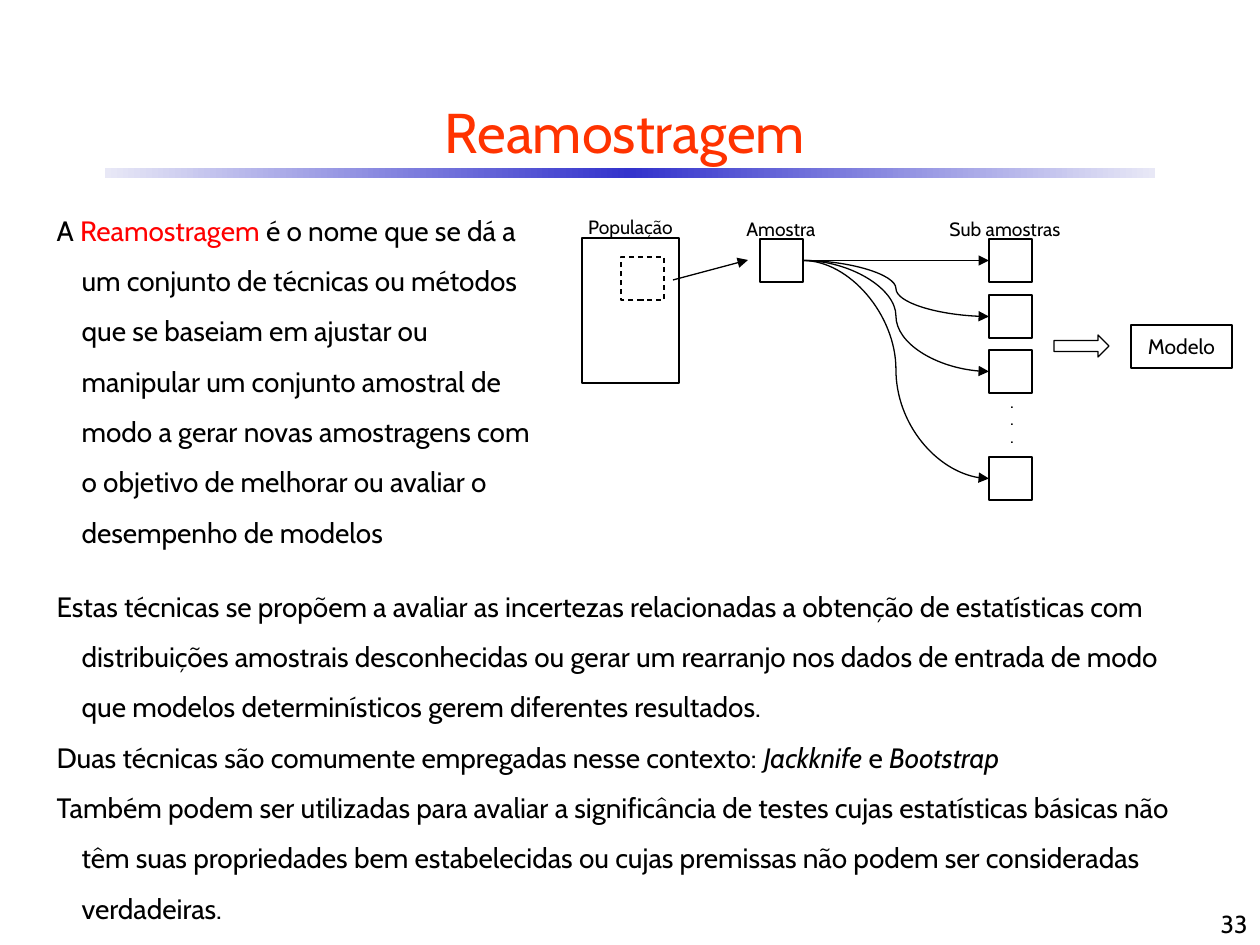
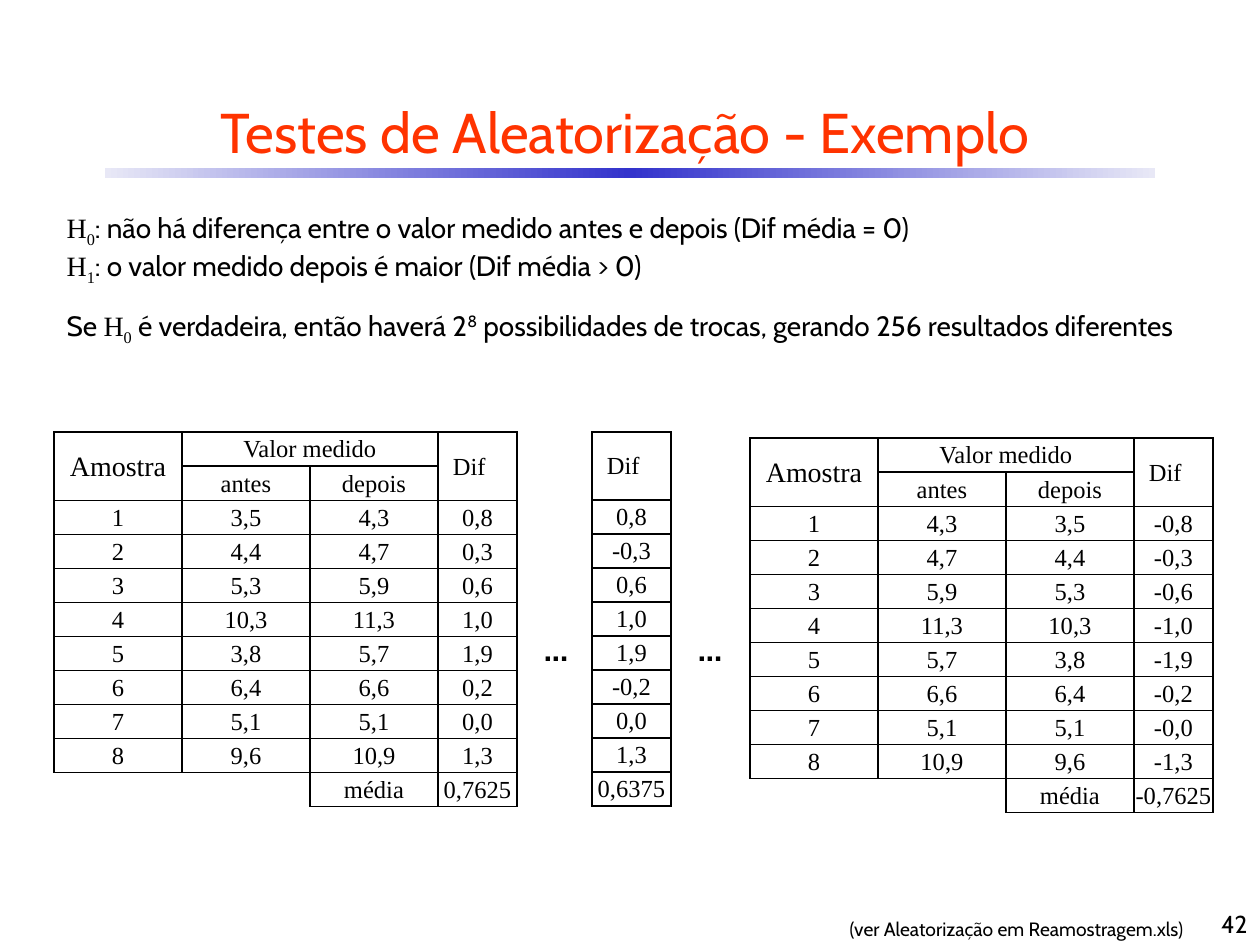
from copy import deepcopy

from lxml.etree import SubElement
from pptx import Presentation
from pptx.dml.color import RGBColor
from pptx.enum.dml import MSO_LINE
from pptx.enum.shapes import MSO_CONNECTOR, MSO_SHAPE
from pptx.enum.text import MSO_ANCHOR, MSO_AUTO_SIZE, PP_ALIGN
from pptx.oxml.ns import qn
from pptx.util import Pt

COLORS = {"ink": "000000", "title": "FF3300", "accent": "FF0000",
          "band_edge": "E8E8F6", "band_core": "3333CC"}
SANS, SERIF = "Cabin", "Times New Roman"
EMU_PER_PX = 914400 / 126
SIDES = {"lnL": (0, -1), "lnR": (0, 1), "lnT": (-1, 0), "lnB": (1, 0)}
LOOSE = {"line_spacing": 1.5}
CENTERED = {"alignment": PP_ALIGN.CENTER}
RIGHT = {"alignment": PP_ALIGN.RIGHT}


def emu(px):
    return round(px * EMU_PER_PX)


def rgb(name):
    return RGBColor.from_string(COLORS[name])


def assign(target, values):
    for key, value in values.items():
        setattr(target, key, value)


class Deck:
    def __init__(self, width, height):
        self.prs = Presentation()
        assign(self.prs, {"slide_width": emu(width), "slide_height": emu(height)})

    def start(self, title, number):
        self.slide = self.prs.slides.add_slide(self.prs.slide_layouts[3])
        self.shapes = self.slide.shapes
        self.band(105, 168, 1050, 10)
        self.placeholder(0, (42, 84, 1166, 95), [[title]], CENTERED,
                         {"size": Pt(32), "color": "title"}, MSO_ANCHOR.MIDDLE)
        self.label((998, 882, 262, 63), [[number]], RIGHT, 14, MSO_ANCHOR.BOTTOM)

    def band(self, *place):
        band = self.shapes.add_shape(MSO_SHAPE.RECTANGLE, *map(emu, place))
        band.shadow.inherit = False
        band.line.fill.background()
        band.fill.gradient()
        band.fill.gradient_angle = 0
        stops = band.element.xpath(".//a:gsLst")[0]
        stops.insert(1, deepcopy(stops[0]))
        tones = ("band_edge", "band_core", "band_edge")
        for stop, position, tone in zip(band.fill.gradient_stops, (0, 0.5, 1), tones):
            stop.position = position
            stop.color.rgb = rgb(tone)
        band.element.getparent().insert(2, band.element)

    def add_text(self, frame, paragraphs, layout, font, indent=None):
        for index, runs in enumerate(paragraphs):
            paragraph = frame.add_paragraph() if index else frame.paragraphs[0]
            assign(paragraph, layout)
            if indent is not None:
                paragraph.space_before = Pt(0)
                properties = paragraph._p.get_or_add_pPr()
                properties.set("marL", str(emu(indent)))
                properties.set("indent", str(-emu(indent)))
                SubElement(properties, qn("a:buNone"))
            for part in runs:
                text, changes = (part, {}) if isinstance(part, str) else part
                values = {"name": SANS, "color": "ink", **font, **changes}
                color, baseline = values.pop("color"), values.pop("baseline", 0)
                run = paragraph.add_run()
                run.text = text
                assign(run.font, values)
                run.font.color.rgb = rgb(color)
                if baseline:
                    run._r.get_or_add_rPr().set("baseline", str(baseline))

    def placeholder(self, index, place, paragraphs, layout, font, anchor, indent=0):
        holder = self.slide.placeholders[index]
        assign(holder, dict(zip(("left", "top", "width", "height"), map(emu, place))))
        assign(holder.text_frame, {"auto_size": MSO_AUTO_SIZE.NONE, "word_wrap": True,
                                   "vertical_anchor": anchor})
        self.add_text(holder.text_frame, paragraphs, layout, font, indent)

    def body(self, index, place, paragraphs, layout, indent):
        self.placeholder(index, place, paragraphs, layout, {"size": Pt(16)},
                         MSO_ANCHOR.TOP, indent)

    def label(self, place, paragraphs, layout, size, anchor=MSO_ANCHOR.TOP, **frame):
        box = self.shapes.add_textbox(*map(emu, place))
        bold = frame.pop("bold", False)
        assign(box.text_frame, {"word_wrap": True, "vertical_anchor": anchor, **frame})
        self.add_text(box.text_frame, paragraphs, layout,
                      {"size": Pt(size), "bold": bold})

    def outline(self, place, kind=MSO_SHAPE.RECTANGLE, text=None, dash=None):
        shape = self.shapes.add_shape(kind, *map(emu, place))
        shape.shadow.inherit = False
        shape.fill.background()
        shape.line.color.rgb = rgb("ink")
        assign(shape.line, {"width": Pt(0.75), "dash_style": dash})
        if text:
            shape.text_frame.vertical_anchor = MSO_ANCHOR.MIDDLE
            self.add_text(shape.text_frame, [[text]], CENTERED, {"size": Pt(12)})
        return shape

    def arrow(self, ends=(0, 0, 0, 0), kind=MSO_CONNECTOR.STRAIGHT, joined=None):
        arrow = self.shapes.add_connector(kind, *map(emu, ends))
        if joined:
            arrow.begin_connect(joined[0], 3)
            arrow.end_connect(joined[1], 1)
        arrow.line.color.rgb = rgb("ink")
        arrow.line.width = Pt(0.75)
        properties = arrow.element.spPr
        SubElement(properties.find(qn("a:ln")), qn("a:tailEnd"), type="triangle")
        SubElement(properties, qn("a:effectLst"))

    def table(self, left, top, widths, heights, rows, merges=()):
        place = map(emu, (left, top, sum(widths), sum(heights)))
        table = self.shapes.add_table(len(heights), len(widths), *place).table
        assign(table, {"first_row": False, "horz_banding": False})
        for column, width in zip(table.columns, widths):
            column.width = emu(width)
        for row, height in zip(table.rows, heights):
            row.height = emu(height)

        def present(row, column):
            return (0 <= row < len(rows) and 0 <= column < len(widths)
                    and rows[row][column] is not None)

        for r, values in enumerate(rows):
            for c, value in enumerate(values):
                drawn = {side: present(r, c) or present(r + down, c + across)
                         for side, (down, across) in SIDES.items()}
                self.format_cell(table.cell(r, c), value, drawn)
        for first, last in merges:
            table.cell(*first).merge(table.cell(*last))

    def format_cell(self, cell, value, drawn):
        is_difference = value == "Dif"
        assign(cell, {"margin_left": emu(15 if is_difference else 1),
                      "margin_right": emu(1), "margin_top": emu(1),
                      "margin_bottom": 0, "vertical_anchor": MSO_ANCHOR.MIDDLE})
        properties = cell._tc.get_or_add_tcPr()
        for side, visible in drawn.items():
            border = SubElement(properties, qn(f"a:{side}"), w=str(Pt(1)))
            if visible:
                fill = SubElement(border, qn("a:solidFill"))
                SubElement(fill, qn("a:srgbClr"), val=COLORS["ink"])
            else:
                SubElement(border, qn("a:noFill"))
        cell.fill.background()
        if value:
            size = Pt(16 if value == "Amostra" else 14)
            self.add_text(cell.text_frame, [[value]], {} if is_difference else CENTERED,
                          {"name": SERIF, "size": size})
        else:
            SubElement(cell.text_frame.paragraphs[0]._p, qn("a:endParaRPr"), sz="1400")


def resampling(deck):
    deck.start("Reamostragem", "33")
    deck.body(1, (44, 190, 510, 362), [[
        "A ", ("Reamostragem", {"color": "accent"}),
        " é o nome que se dá a um conjunto de técnicas ou métodos que se baseiam em "
        "ajustar ou manipular um conjunto amostral de modo a gerar novas amostragens "
        "com o objetivo de melhorar ou avaliar o desempenho de modelos"]], LOOSE, 25)
    italic = {"italic": True}
    deck.body(2, (44, 566, 1160, 379), [
        ["Estas técnicas se propõem a avaliar as incertezas relacionadas a obtenção de "
         "estatísticas com distribuições amostrais desconhecidas ou gerar um rearranjo "
         "nos dados de entrada de modo que modelos determinísticos gerem diferentes "
         "resultados."],
        ["Duas técnicas são comumente empregadas nesse contexto: ",
         ("Jackknife", italic), " e ", ("Bootstrap", italic)],
        ["Também podem ser utilizadas para avaliar a significância de testes cujas "
         "estatísticas básicas não têm suas propriedades bem estabelecidas ou cujas "
         "premissas não podem ser consideradas verdadeiras."]], LOOSE, 25)

    side = 43
    deck.outline((582, 238, 97, 145))
    deck.outline((621, 257, side, side), dash=MSO_LINE.DASH)
    sample = deck.outline((760, 239, side, side))
    deck.arrow((673, 280, 748, 260))
    for name, left, top, width in (("População", 567, 198, 127),
                                   ("Amostra", 733, 199, 96),
                                   ("Sub amostras", 924, 199, 162)):
        deck.label((left, top, width, side), [[name]], {**LOOSE, **CENTERED}, 11)
    for top in (239, 295, 350, 457):
        subsample = deck.outline((989, top, side, side))
        level = top == 239
        deck.arrow(kind=MSO_CONNECTOR.STRAIGHT if level else MSO_CONNECTOR.CURVE,
                   joined=(sample, subsample))
    deck.label((1005, 388, 14, 66), [["."]] * 3,
               {**CENTERED, "line_spacing": Pt(10)}, 10.5,
               margin_left=0, margin_right=0)
    deck.outline((1054, 335, 55, 22), MSO_SHAPE.RIGHT_ARROW)
    deck.outline((1131, 325, 101, side), text="Modelo")


def randomization(deck):
    deck.start("Testes de Aleatorização - Exemplo", "42")

    def hypothesis(digit):
        return [("H", {"name": SERIF}), (digit, {"name": SERIF, "baseline": -25000})]

    deck.body(1, (54, 204, 1153, 81), [
        [*hypothesis("0"),
         ": não há diferença entre o valor medido antes e depois (Dif média = 0)"],
        [*hypothesis("1"), ": o valor medido depois é maior (Dif média > 0)"]], {}, 49)
    deck.body(2, (54, 302, 1152, 81), [
        ["Se ", *hypothesis("0"), " é verdadeira, então haverá 2",
         ("8", {"baseline": 30000}),
         " possibilidades de trocas, gerando 256 resultados diferentes"]], {}, 49)
    deck.label((759, 911, 437, 34), [["(ver Aleatorização em Reamostragem.xls)"]],
               RIGHT, 11)
    for left in (527, 681):
        deck.label((left, 620, 58, 55), [["..."]], CENTERED, 20, bold=True,
                   word_wrap=False)

    measures = [("3,5", "4,3", "0,8"), ("4,4", "4,7", "0,3"), ("5,3", "5,9", "0,6"),
                ("10,3", "11,3", "1,0"), ("3,8", "5,7", "1,9"), ("6,4", "6,6", "0,2"),
                ("5,1", "5,1", "0,0"), ("9,6", "10,9", "1,3")]
    swapped = [(after, before, f"-{gap}") for before, after, gap in measures]
    header = [("Amostra", "Valor medido", "", "Dif"), ("", "antes", "depois", "")]
    merges = [((0, 0), (1, 0)), ((0, 1), (0, 2)), ((0, 3), (1, 3))]
    row_height, gap_width = 34, 79
    for left, top, data, mean in ((54, 432, measures, "0,7625"),
                                  (750, 438, swapped, "-0,7625")):
        numbered = [(str(n), *values) for n, values in enumerate(data, 1)]
        deck.table(left, top, [128] * 3 + [gap_width], [row_height] * 11,
                   [*header, *numbered, (None, None, "média", mean)], merges)
    traded = [f"-{gap}" if n in (2, 6) else gap
              for n, (_, _, gap) in enumerate(measures, 1)]
    deck.table(592, 432, [gap_width], [2 * row_height] + [row_height] * 9,
               [(value,) for value in ("Dif", *traded, "0,6375")])


def main():
    deck = Deck(1260, 945)
    resampling(deck)
    randomization(deck)
    deck.prs.save("out.pptx")


if __name__ == "__main__":
    main()
